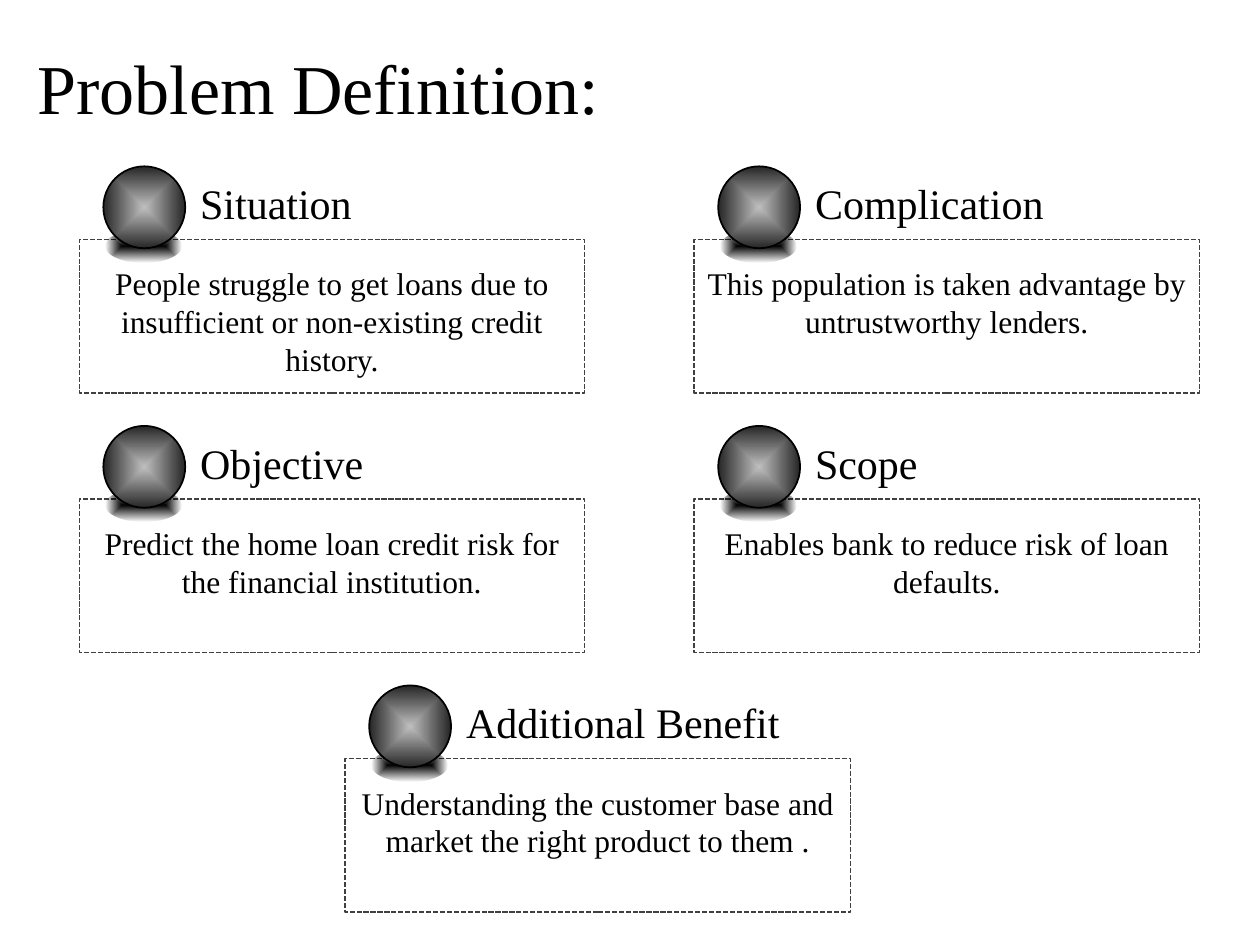
from pptx import Presentation
from pptx.dml.color import RGBColor
from pptx.enum.dml import MSO_LINE
from pptx.enum.shapes import MSO_SHAPE as SHAPE
from pptx.enum.text import MSO_ANCHOR as ANCHOR, MSO_AUTO_SIZE as AUTO, PP_ALIGN as ALIGN
from pptx.oxml import parse_xml
from pptx.oxml.ns import nsdecls, qn
from pptx.util import Inches, Pt


def rgb(value):
    return RGBColor.from_string(value)


class Deck:
    """Style and current slide, with one method for each kind of element."""

    font = "Times New Roman"
    ink = "000000"
    frame = "404040"
    ball_stops = ("BFBFBF", 100), ("262626", 100)
    shadow_stops = ("000000", 100), ("000000", 0)

    def __init__(self):
        self.prs = Presentation()
        self.prs.slide_width, self.prs.slide_height = Inches(10), Inches(7.5)
        self.s = self.prs.slides.add_slide(self.prs.slide_layouts[5])

    def set_text(self, tf, text, size, align):
        tf.word_wrap = True
        tf.auto_size = AUTO.NONE
        p = tf.paragraphs[0]
        p.text, p.alignment = text, align
        p.font.name, p.font.size = self.font, Pt(size)
        p.font.color.rgb = rgb(self.ink)

    def title(self, text, x, y, w, h):
        sp = self.s.shapes.title
        sp.left, sp.top, sp.width, sp.height = map(Inches, (x, y, w, h))
        tf = sp.text_frame
        tf.margin_left = tf.margin_right = Inches(0.13)
        tf.margin_top = tf.margin_bottom = Inches(0.07)
        tf.vertical_anchor = ANCHOR.MIDDLE
        self.set_text(tf, text, 40, ALIGN.LEFT)

    def text(self, group, text, x, y, w, h, size, align=ALIGN.LEFT):
        tb = group.shapes.add_textbox(*map(Inches, (x, y, w, h)))
        self.set_text(tb.text_frame, text, size, align)

    def shape(self, group, kind, x, y, w, h, line=None, dash=None, stops=None):
        sp = group.shapes.add_shape(kind, *map(Inches, (x, y, w, h)))
        sp.shadow.inherit = False
        sp.fill.background()
        if line:
            sp.line.color.rgb, sp.line.width = rgb(line), Pt(1)
            sp.line.dash_style = dash
        else:
            sp.line.fill.background()
        if stops:
            self.gradient(sp, stops)

    def gradient(self, sp, stops):
        gs = "".join(
            f'<a:gs pos="{i * 100000}"><a:srgbClr val="{color}">'
            f'<a:alpha val="{alpha * 1000}"/></a:srgbClr></a:gs>'
            for i, (color, alpha) in enumerate(stops))
        fill = parse_xml(
            f'<a:gradFill {nsdecls("a")} rotWithShape="1"><a:gsLst>{gs}</a:gsLst>'
            '<a:path path="shape"><a:fillToRect l="50000" t="50000" r="50000" b="50000"/>'
            '</a:path></a:gradFill>')
        sp_pr = sp._element.spPr
        sp_pr.replace(sp_pr.find(qn("a:noFill")), fill)

    def card(self, heading, body, x, y):
        g = self.s.shapes.add_group_shape()
        self.text(g, body, x, y + 0.73, 4.01, 1.07, 18, ALIGN.CENTER)
        self.shape(g, SHAPE.RECTANGLE, x, y + 0.58, 4.01, 1.22, self.frame, MSO_LINE.SQUARE_DOT)
        self.shape(g, SHAPE.OVAL, x + 0.21, y + 0.5, 0.6, 0.26, stops=self.shadow_stops)
        self.shape(g, SHAPE.OVAL, x + 0.19, y, 0.65, 0.65, self.ink, stops=self.ball_stops)
        self.text(g, heading, x + 0.86, y + 0.04, 3.15, 0.45, 24)


def main():
    deck = Deck()
    deck.title("Problem Definition:", 0.17, 0.3, 7.35, 0.78)
    left, middle, right = 0.63, 2.74, 5.51
    top, pitch = 1.32, 2.06
    cards = [
        ("Complication", "This population is taken advantage by untrustworthy lenders.", right, 0),
        ("Situation", "People struggle to get loans due to insufficient or "
                      "non-existing credit history.", left, 0),
        ("Scope", "Enables bank to reduce risk of loan defaults.", right, 1),
        ("Objective", "Predict the home loan credit risk for the financial institution.", left, 1),
        ("Additional Benefit", "Understanding the customer base and market the right "
                               "product to them .", middle, 2),
    ]
    for heading, body, x, row in cards:
        deck.card(heading, body, x, top + row * pitch)
    deck.prs.save("out.pptx")


if __name__ == "__main__":
    main()
